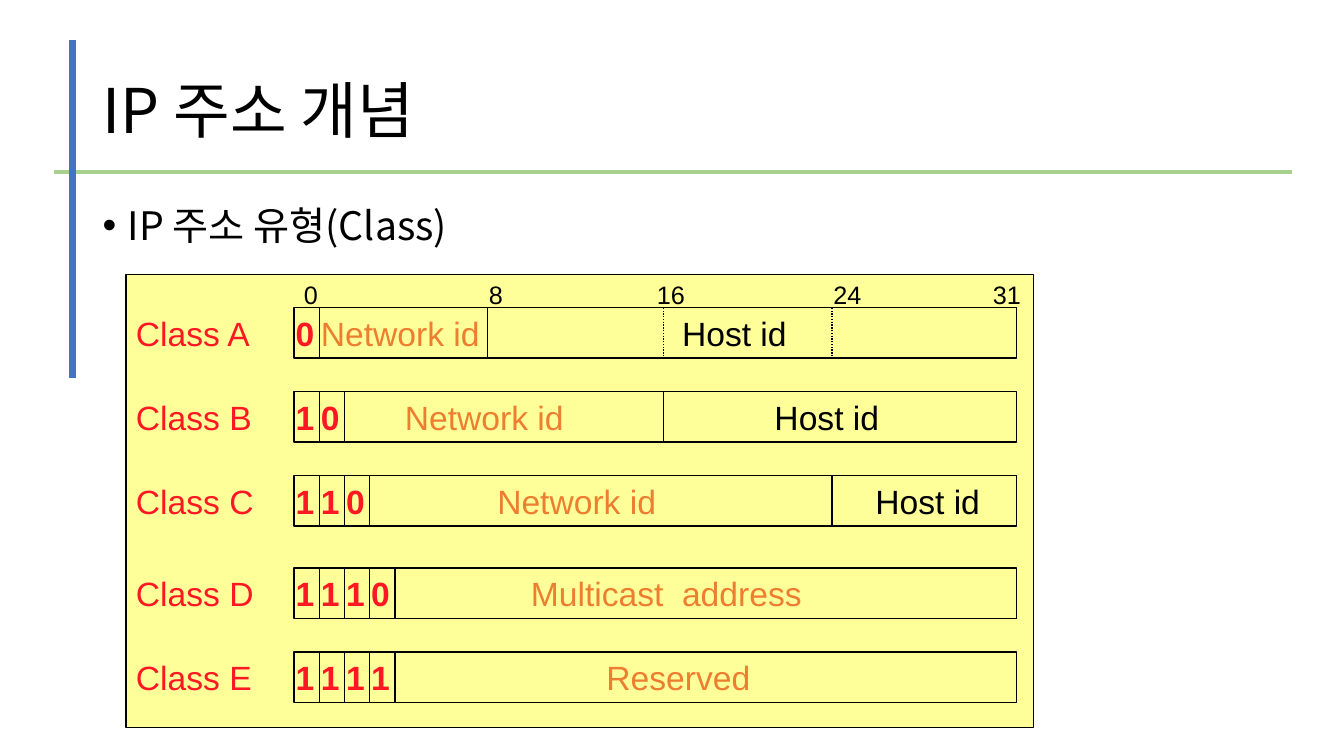
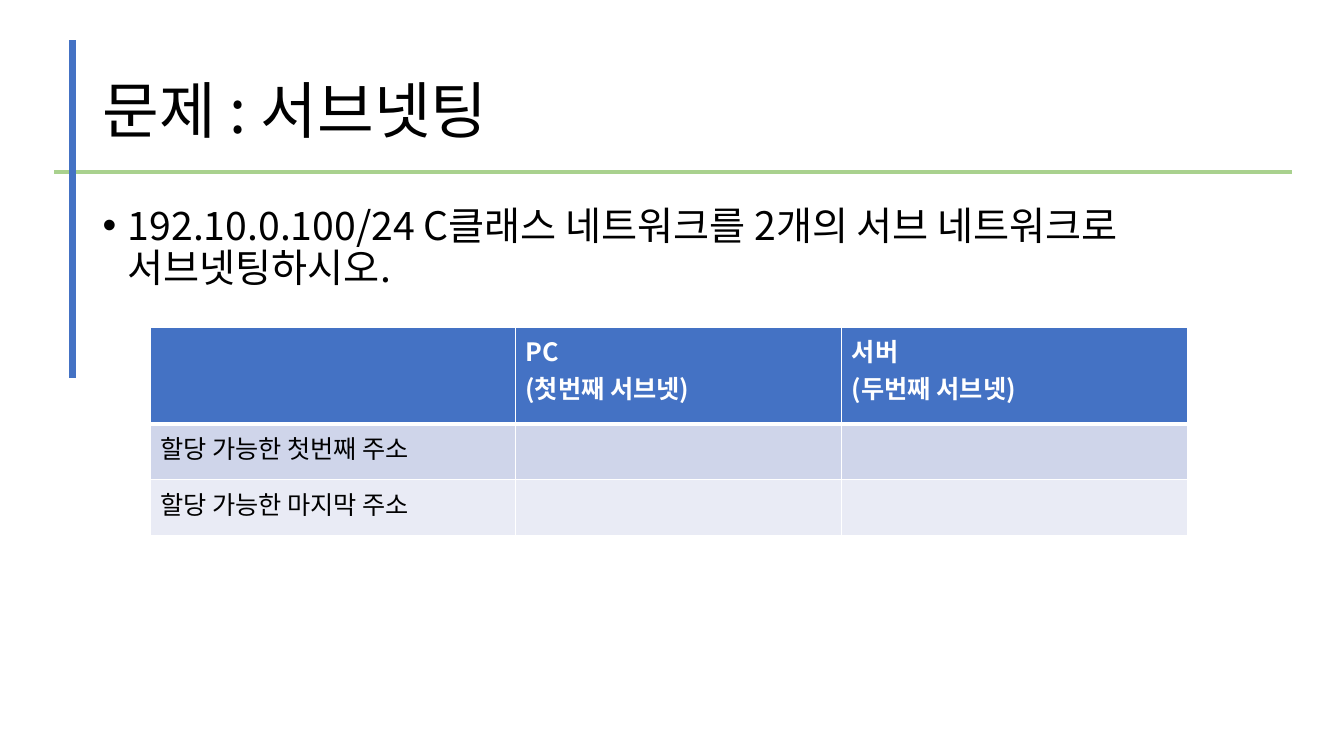
from lxml.etree import SubElement
from pptx import Presentation
from pptx.dml.color import RGBColor
from pptx.enum.dml import MSO_LINE
from pptx.enum.shapes import MSO_CONNECTOR as Connector, MSO_SHAPE as Preset
from pptx.enum.text import MSO_ANCHOR as Anchor, MSO_AUTO_SIZE as AutoSize
from pptx.oxml import parse_xml
from pptx.oxml.ns import nsdecls, qn
from pptx.util import Inches, Pt

WIDTH, HEIGHT = 13.33, 7.5
KOREAN, LATIN = "Noto Sans CJK KR", "Arial"
BLACK, WHITE = "000000", "FFFFFF"
BLUE, GREEN = "4472C4", "A9D18E"
RED, ORANGE, YELLOW = "FE1823", "ED7D31", "FFFF99"
BAND_DARK, BAND_LIGHT = "CFD5EA", "E9EBF5"

CONTENT_LEFT, CONTENT_WIDTH = 0.92, 11.5
UNIT = 1 / 12
PANEL_LEFT, PANEL_TOP = 1.25, 2.72
PANEL_COLUMNS, PANEL_ROWS = 108, 54
BAR_COLUMN, BAR_COLUMNS, BAR_ROWS, BIT_COLUMNS = 20, 86, 6, 3
CLASS_LABEL_WIDTH = 1.4
BYTE_TICKS = [("0", 20, 0.41), ("8", 42, 0.41), ("16", 62, 0.55),
              ("24", 83, 0.55), ("31", 102, 0.55)]
NETWORK, HOST = ("Network id", 1.78, ORANGE), ("Host id", 1.24, BLACK)
MULTICAST, RESERVED = ("Multicast  address", 2.89, ORANGE), ("Reserved", 1.72, ORANGE)
CLASSES = [
    ("Class A", 4, "0", [43], [64, 84], [(22, NETWORK), (65, HOST)]),
    ("Class B", 14, "10", [64], [], [(32, NETWORK), (76, HOST)]),
    ("Class C", 24, "110", [84], [], [(43, NETWORK), (88, HOST)]),
    ("Class D", 35, "1110", [], [], [(47, MULTICAST)]),
    ("Class E", 45, "1111", [], [], [(56, RESERVED)]),
]

TABLE_COLUMNS, TABLE_ROWS = [3.62, 3.24, 3.43], [0.96, 0.55, 0.55]
TABLE_TEXT = [
    [[], ["PC", "(첫번째 서브넷)"], ["서버", "(두번째 서브넷)"]],
    [["할당 가능한 첫번째 주소"], [], []],
    [["할당 가능한 마지막 주소"], [], []],
]


def color(value):
    return RGBColor.from_string(value)


def column(count):
    return PANEL_LEFT + count * UNIT


def row(count):
    return PANEL_TOP + count * UNIT


def add_run(paragraph, text, size, font_name, text_color, bold=False):
    run = paragraph.add_run()
    run.text = text
    font = run.font
    font.size, font.name, font.bold = Pt(size), font_name, bold
    font.color.rgb = color(text_color)
    SubElement(run._r.get_or_add_rPr(), qn("a:ea")).set("typeface", font_name)


def add_text_box(shapes, left, top, width, height):
    return shapes.add_textbox(Inches(left), Inches(top), Inches(width), Inches(height)).text_frame


def add_line(shapes, start, end, line_color, weight, dash=None):
    line = shapes.add_connector(Connector.STRAIGHT, *map(Inches, start + end))
    line.line.color.rgb = color(line_color)
    line.line.width = Pt(weight)
    if dash:
        line.line.dash_style = dash
    SubElement(line._element.spPr, qn("a:effectLst"))


def add_box(shapes, left, top, width, height, weight, fill=None):
    box = shapes.add_shape(Preset.RECTANGLE, Inches(left), Inches(top), Inches(width), Inches(height))
    box.shadow.inherit = False
    box.line.color.rgb = color(BLACK)
    box.line.width = Pt(weight)
    if fill:
        box.fill.solid()
        box.fill.fore_color.rgb = color(fill)
    else:
        box.fill.background()


def add_label(shapes, text, left, top, width, size, text_color, bold=False):
    frame = add_text_box(shapes, left, top, width, 0.5 if size > 18 else 0.4)
    frame.word_wrap = False
    frame.auto_size = AutoSize.SHAPE_TO_FIT_TEXT
    add_run(frame.paragraphs[0], text, size, LATIN, text_color, bold)


def add_base_slide(presentation, title, bullet):
    slide = presentation.slides.add_slide(presentation.slide_layouts[6])
    shapes = slide.shapes
    title_frame = add_text_box(shapes, CONTENT_LEFT, 0.4, CONTENT_WIDTH, 1.45)
    title_frame.vertical_anchor = Anchor.MIDDLE
    add_line(shapes, (0.54, 1.71), (12.81, 1.71), GREEN, 3)
    add_line(shapes, (0.72, 0.4), (0.72, HEIGHT / 2), BLUE, 4.5)
    body_frame = add_text_box(shapes, CONTENT_LEFT, 2, CONTENT_WIDTH, 4.76)
    for frame, text, size in [(title_frame, title, 44), (body_frame, bullet, 28)]:
        frame.word_wrap = True
        paragraph = frame.paragraphs[0]
        paragraph.line_spacing = 0.9
        add_run(paragraph, text, size, KOREAN, BLACK)
    properties = body_frame.paragraphs[0]._p.get_or_add_pPr()
    properties.set("marL", str(Inches(0.25)))
    properties.set("indent", str(-Inches(0.25)))
    SubElement(properties, qn("a:buFont")).set("typeface", LATIN)
    SubElement(properties, qn("a:buChar")).set("char", "•")
    return slide


def add_divider(shapes, at_column, at_row, dash=None):
    add_line(shapes, (column(at_column), row(at_row)),
             (column(at_column), row(at_row + BAR_ROWS)), BLACK, 1, dash)


def add_address_class(shapes, name, at_row, bits, solid, dotted, fields):
    top = row(at_row)
    add_box(shapes, column(BAR_COLUMN), top, BAR_COLUMNS * UNIT, BAR_ROWS * UNIT, 1)
    add_label(shapes, name, column(0), top, CLASS_LABEL_WIDTH, 24, RED)
    for index, bit in enumerate(bits):
        bit_column = BAR_COLUMN + index * BIT_COLUMNS
        add_divider(shapes, bit_column + BIT_COLUMNS, at_row)
        add_label(shapes, bit, column(bit_column - 1), top, 0.39, 24, RED, True)
    for at_column in solid:
        add_divider(shapes, at_column, at_row)
    for at_column in dotted:
        add_divider(shapes, at_column, at_row, MSO_LINE.ROUND_DOT)
    for at_column, (text, width, text_color) in fields:
        add_label(shapes, text, column(at_column), top, width, 24, text_color)


def add_class_diagram(slide):
    add_box(slide.shapes, PANEL_LEFT, PANEL_TOP, PANEL_COLUMNS * UNIT, PANEL_ROWS * UNIT, 0.75, YELLOW)
    shapes = slide.shapes.add_group_shape().shapes
    for text, at_column, width in BYTE_TICKS:
        add_label(shapes, text, column(at_column), PANEL_TOP, width, 18, BLACK)
    for address_class in CLASSES:
        add_address_class(shapes, *address_class)


def style_cell(cell, fill, top_weight, bottom_weight):
    cell.fill.solid()
    cell.fill.fore_color.rgb = color(fill)
    properties = cell._tc.get_or_add_tcPr()
    weights = [("L", 1), ("R", 1), ("T", top_weight), ("B", bottom_weight)]
    for index, (side, weight) in enumerate(weights):
        properties.insert(index, parse_xml(
            f'<a:ln{side} {nsdecls("a")} w="{Pt(weight)}"><a:solidFill>'
            f'<a:srgbClr val="{WHITE}"/></a:solidFill></a:ln{side}>'))


def add_answer_table(slide):
    frame = slide.shapes.add_table(
        len(TABLE_ROWS), len(TABLE_COLUMNS), Inches(1.49), Inches(3.25),
        Inches(sum(TABLE_COLUMNS)), Inches(sum(TABLE_ROWS)))
    table = frame.table
    for table_column, width in zip(table.columns, TABLE_COLUMNS):
        table_column.width = Inches(width)
    fills = [BLUE, BAND_DARK, BAND_LIGHT]
    for index, (height, fill, texts) in enumerate(zip(TABLE_ROWS, fills, TABLE_TEXT)):
        table.rows[index].height = Inches(height)
        header = index == 0
        for cell, lines in zip(table.rows[index].cells, texts):
            style_cell(cell, fill, 3 if index == 1 else 1, 3 if header else 1)
            for number, text in enumerate(lines):
                text_frame = cell.text_frame
                paragraph = text_frame.add_paragraph() if number else text_frame.paragraphs[0]
                add_run(paragraph, text, 18, KOREAN, WHITE if header else BLACK, header)


def main():
    presentation = Presentation()
    presentation.slide_width, presentation.slide_height = Inches(WIDTH), Inches(HEIGHT)
    add_class_diagram(add_base_slide(presentation, "IP 주소 개념", "IP 주소 유형(Class)"))
    add_answer_table(add_base_slide(
        presentation, "문제 : 서브넷팅",
        "192.10.0.100/24 C클래스 네트워크를 2개의 서브 네트워크로 서브넷팅하시오."))
    presentation.save("out.pptx")


if __name__ == "__main__":
    main()
